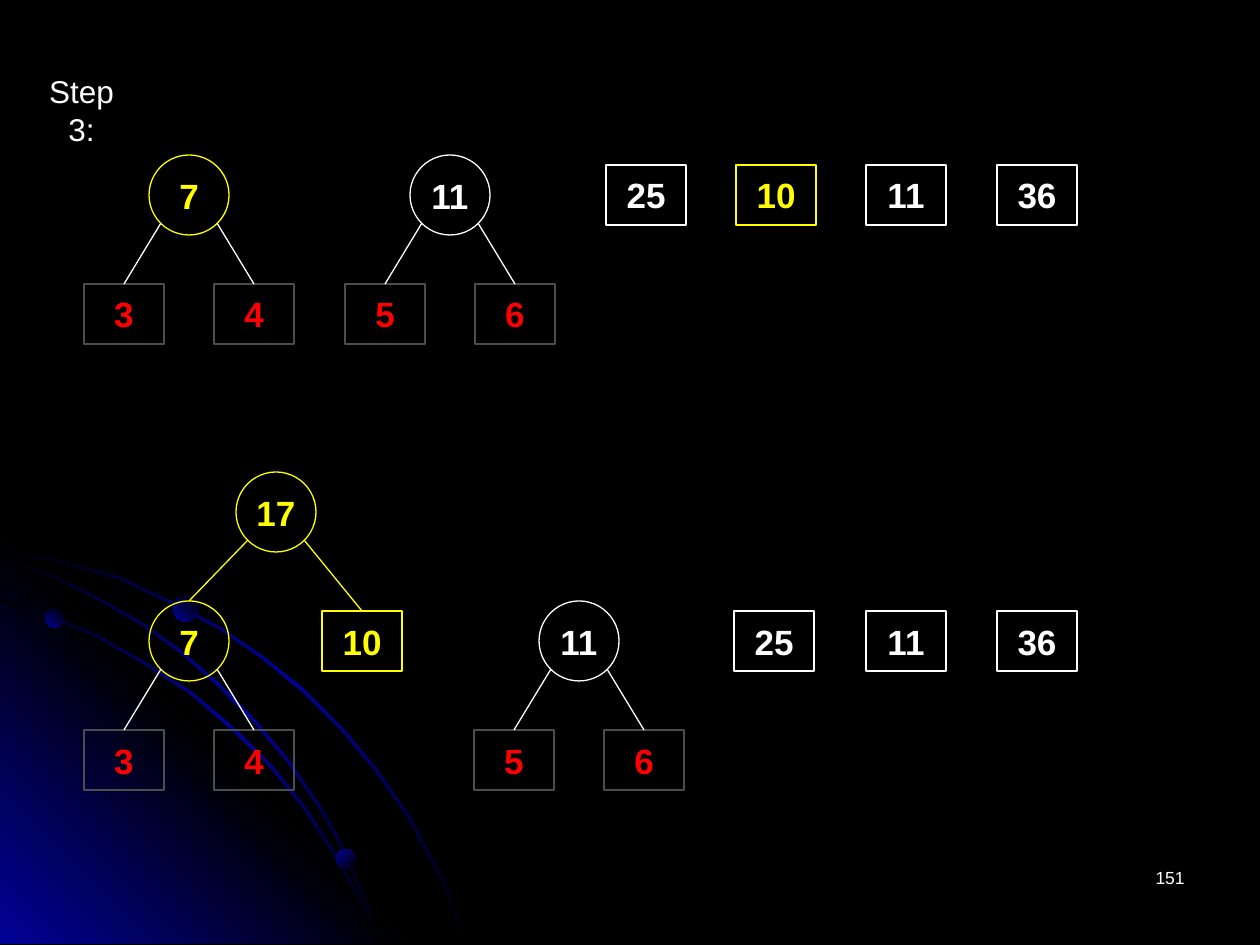
from lxml import etree
from pptx import Presentation
from pptx.dml.color import RGBColor
from pptx.enum.shapes import MSO_CONNECTOR as Connector, MSO_SHAPE as Preset
from pptx.enum.text import MSO_ANCHOR as Anchor, MSO_AUTO_SIZE as AutoSize, PP_ALIGN as Align
from pptx.oxml import parse_xml
from pptx.oxml.ns import nsdecls, qn
from pptx.util import Pt

SCALE = 914400 / 126  # EMU in one px
COLOURS = {
    "black": "000000", "white": "FFFFFF", "yellow": "FFFF00",
    "red": "FF0000", "grey": "4D4D4D", "blue": "010199",
}
NODE, BOX_HEIGHT = 80, 60    # circle diameter and box width; box height
RIM = 28                     # offset of the edge start from a circle's centre
SPREAD, DROP = 65, 119       # offset of leaves from their parent
FIRST_ROW, SECOND_ROW, ROOT_ROW = 195, 641, 512


def emu(px):
    return round(px * SCALE)


def colour(name):
    return RGBColor.from_string(COLOURS[name])


def column(index):
    return 124 + round(130.4 * index)


class Painter:
    def __init__(self, page):
        self.page = page
        self.font = "Arial"
        self.line_width = Pt(0.75)

    def set_text(self, box, text, tint, size, align, anchor=Anchor.TOP, bold=False, wrap=False):
        frame = box.text_frame
        settings = {"auto_size": AutoSize.NONE, "word_wrap": wrap, "vertical_anchor": anchor}
        for name, value in settings.items():
            setattr(frame, name, value)
        para = frame.paragraphs[0]
        para.alignment = align
        span = para.add_run()
        span.text = text
        for name, value in {"name": self.font, "size": Pt(size), "bold": bold}.items():
            setattr(span.font, name, value)
        span.font.color.rgb = colour(tint)

    def title(self, text, left, top, width, height):
        box = self.page.shapes.title
        places = {"left": left, "top": top, "width": width, "height": height}
        for name, value in places.items():
            setattr(box, name, emu(value))
        self.set_text(box, text, "white", 18, Align.CENTER)

    def label(self, text, left, top, width, height):
        box = self.page.shapes.add_textbox(*map(emu, (left, top, width, height)))
        self.set_text(box, text, "white", 10, Align.RIGHT, wrap=True)

    def node(self, preset, text, x, y, height, tint, line):
        box = self.page.shapes.add_shape(
            preset, *map(emu, (x - NODE // 2, y - height // 2, NODE, height)))
        box.shadow.inherit = False
        box.fill.background()
        box.line.color.rgb = colour(line)
        box.line.width = self.line_width
        self.set_text(box, text, tint, 20, Align.CENTER, Anchor.MIDDLE, bold=True)

    def circle(self, text, x, y, tint):
        self.node(Preset.OVAL, text, x, y, NODE, tint, tint)

    def weight(self, text, x, y, tint="white", line=None):
        self.node(Preset.RECTANGLE, text, x, y, BOX_HEIGHT, tint, line or tint)

    def edge(self, start, end, tint):
        link = self.page.shapes.add_connector(Connector.STRAIGHT, *map(emu, start + end))
        link.line.color.rgb = colour(tint)
        link.line.width = self.line_width
        etree.SubElement(link.element.spPr, qn("a:effectLst"))

    def branches(self, x, y, ends, tint):
        for side, end in zip((-1, 1), ends):
            self.edge((x + side * RIM, y + RIM), end, tint)

    def tree(self, text, leaves, x, y, tint):
        self.circle(text, x, y, tint)
        places = [x - SPREAD, x + SPREAD]
        for leaf, place in zip(leaves, places):
            self.weight(leaf, place, y + DROP, "red", "grey")
        self.branches(x, y, [(place, y + DROP - BOX_HEIGHT // 2) for place in places], "white")

    def gradient(self, shape, names, angle):
        shape.shadow.inherit = False
        shape.line.fill.background()
        step = 100000 // (len(names) - 1)
        stops = "".join(
            f'<a:gs pos="{i * step}"><a:srgbClr val="{COLOURS[name]}"/></a:gs>'
            for i, name in enumerate(names))
        fill = parse_xml(
            f'<a:gradFill {nsdecls("a")} rotWithShape="1"><a:gsLst>{stops}</a:gsLst>'
            f'<a:lin ang="{angle * 60000}" scaled="1"/></a:gradFill>')
        shape.element.spPr.find(qn("a:ln")).addprevious(fill)

    def outline(self, points, names, angle):
        builder = self.page.shapes.build_freeform(*points[0], scale=SCALE)
        builder.add_line_segments(points[1:], close=True)
        self.gradient(builder.convert_to_shape(), names, angle)

    def ribbon(self, upper):
        (x0, y0), *middle, (x1, y1) = upper
        lower = [(x0, y0 + 3), *((x - 2, y + 2) for x, y in middle), (x1 - 2, y1)]
        self.outline(upper + lower[::-1], ["black", "blue", "black"], 45)

    def dot(self, left, top, size, angle):
        ball = self.page.shapes.add_shape(Preset.OVAL, *map(emu, (left, top, size, size)))
        self.gradient(ball, ["blue", "black"], angle)


OUTER_ARC = [(0, 548), (72, 563), (123, 578), (171, 601), (219, 626), (263, 656), (305, 690),
             (343, 728), (378, 770), (410, 816), (427, 848), (444, 879), (456, 911), (469, 944)]
INNER_ARC = [(0, 598), (52, 615), (100, 636), (147, 663), (192, 692), (232, 726),
             (271, 764), (305, 806), (335, 852), (360, 897), (373, 920), (382, 944)]
MIDDLE_ARC = [(0, 557), (49, 573), (96, 596), (140, 621), (181, 650), (220, 684), (257, 722),
              (289, 760), (320, 805), (339, 838), (355, 873), (370, 907), (382, 944)]


def main():
    deck = Presentation()
    deck.slide_width, deck.slide_height = emu(1260), emu(945)
    page = deck.slides.add_slide(deck.slide_layouts[5])
    page.background.fill.solid()
    page.background.fill.fore_color.rgb = colour("black")
    painter = Painter(page)

    # Corner decoration
    painter.ribbon(OUTER_ARC)
    painter.outline([(0, 538), (406, 944), (0, 944)], ["blue", "black", "blue"], 315)
    painter.ribbon(INNER_ARC)
    painter.ribbon(MIDDLE_ARC)
    for left, top, size, angle in [(45, 609, 19, 315), (336, 849, 20, 45), (173, 596, 26, 315)]:
        painter.dot(left, top, size, angle)

    painter.title("Step 3:", 19, 66, 125, 50)

    # Before the merge
    painter.tree("7", "34", 189, FIRST_ROW, "yellow")
    painter.tree("11", "56", 450, FIRST_ROW, "white")
    for index, text in enumerate(["25", "10", "11", "36"], start=4):
        tint = "yellow" if text == "10" else "white"
        painter.weight(text, column(index), FIRST_ROW, tint)

    # After the merge: 7 and 10 hang under 17
    painter.tree("7", "34", 189, SECOND_ROW, "yellow")
    painter.weight("10", 362, SECOND_ROW, "yellow")
    painter.circle("17", 276, ROOT_ROW, "yellow")
    ends = [(189, SECOND_ROW - NODE // 2), (362, SECOND_ROW - BOX_HEIGHT // 2)]
    painter.branches(276, ROOT_ROW, ends, "yellow")
    painter.tree("11", "56", 579, SECOND_ROW, "white")
    for text, x in [("25", 774), ("11", column(6)), ("36", column(7))]:
        painter.weight(text, x, SECOND_ROW)

    # Page number
    painter.label("151", 903, 861, 294, 63)

    deck.save("out.pptx")


if __name__ == "__main__":
    main()
